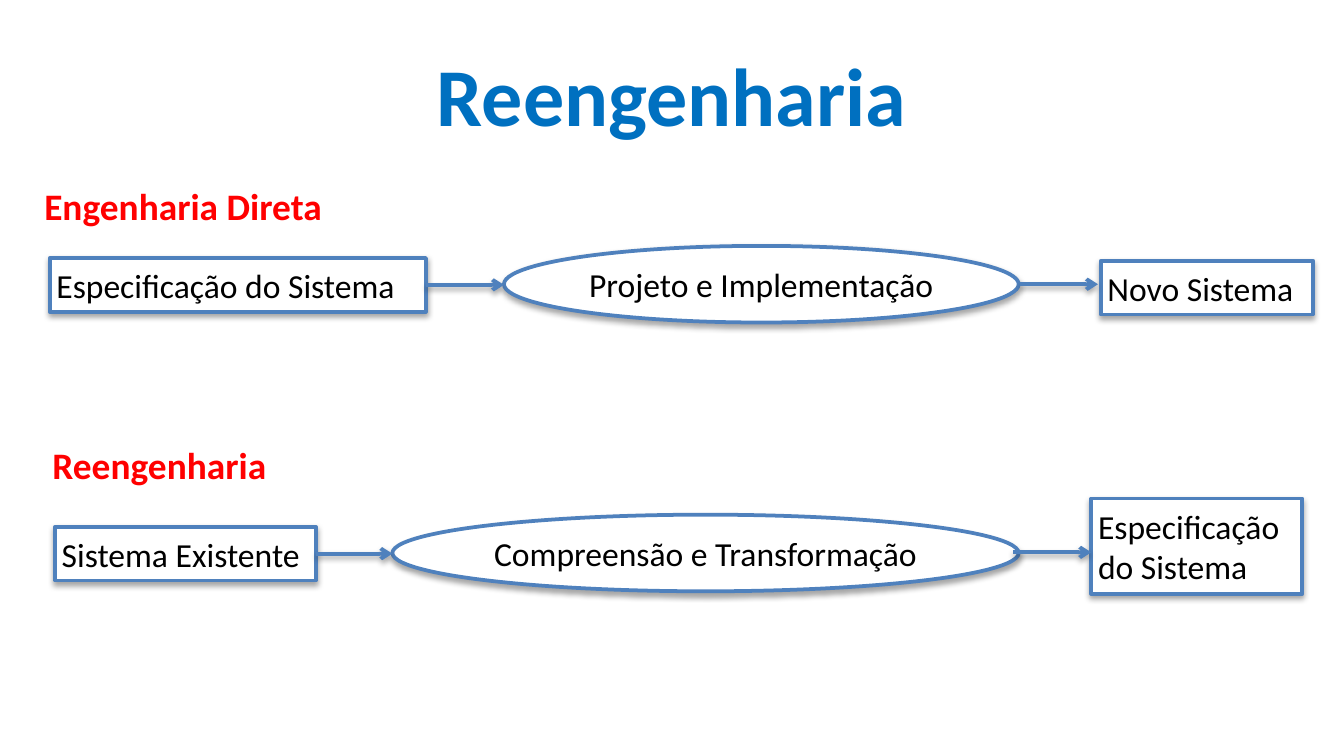
import pptx
import pptx.util
import pptx.dml.color
import pptx.enum.shapes
import pptx.enum.text
import pptx.oxml
import pptx.oxml.ns

RGB = pptx.dml.color.RGBColor
TITLE = RGB(0x00, 0x70, 0xC0)
HEAD = RGB(0xFF, 0x00, 0x00)
EDGE = RGB(0x4F, 0x81, 0xBD)
WHITE = RGB(0xFF, 0xFF, 0xFF)
BLACK = RGB(0x00, 0x00, 0x00)
KIND = pptx.enum.shapes.MSO_SHAPE
ALIGN = pptx.enum.text.PP_ALIGN
SHADE = (
    '<a:effectLst %s><a:outerShdw blurRad="38100" dist="22860" dir="5400000" rotWithShape="0">'
    '<a:srgbClr val="000000"><a:alpha val="35000"/></a:srgbClr></a:outerShdw></a:effectLst>'
    % pptx.oxml.ns.nsdecls("a")
)

deck = pptx.Presentation()
deck.slide_width = pptx.util.Inches(10)
deck.slide_height = deck.slide_width * 9 // 16
col = deck.slide_width / 100
row = deck.slide_height / 56.25
slide = deck.slides.add_slide(deck.slide_layouts[6])


def write(text, shape, size=18, color=BLACK, bold=False, align=ALIGN.LEFT):
    frame = shape.text_frame
    frame.word_wrap = True
    frame.vertical_anchor = pptx.enum.text.MSO_ANCHOR.MIDDLE
    frame.margin_left = frame.margin_right = pptx.util.Inches(0.05)
    frame.margin_top = frame.margin_bottom = pptx.util.Inches(0.05)
    para = frame.paragraphs[0]
    para.alignment = align
    run = para.add_run()
    run.text = text
    run.font.name = "Calibri"
    run.font.size = pptx.util.Pt(size)
    run.font.bold = bold
    run.font.color.rgb = color


def style(item):
    item.line.color.rgb = EDGE
    item.line.width = pptx.util.Pt(2)
    props = item._element.spPr
    for old in props.findall(pptx.oxml.ns.qn("a:effectLst")):
        props.remove(old)
    props.append(pptx.oxml.parse_xml(SHADE))


heads = [
    ("Reengenharia", 5, 2.3, 90, 9.4, 44, TITLE, ALIGN.CENTER),
    ("Engenharia Direta", 2.8, 13.3, 40, 4, 20, HEAD, ALIGN.LEFT),
    ("Reengenharia", 3.4, 32.6, 40, 4, 20, HEAD, ALIGN.LEFT),
]
for text, x, y, w, h, size, color, align in heads:
    box = slide.shapes.add_textbox(int(x * col), int(y * row), int(w * col), int(h * row))
    write(text, box, size=size, color=color, bold=True, align=align)

flows = [
    (21.15, 75.9, 81.7, [
        ("Especificação do Sistema", KIND.RECTANGLE, 3.7, 19.2, 28, 4),
        ("Projeto e Implementação", KIND.OVAL, 37.5, 18.3, 38.3, 5.7),
        ("Novo Sistema", KIND.RECTANGLE, 81.9, 19.4, 15.8, 4),
    ]),
    (41.1, 75.4, 81.2, [
        ("Sistema Existente", KIND.RECTANGLE, 4.1, 39.2, 19.4, 4),
        ("Compreensão e Transformação", KIND.OVAL, 29.2, 38.3, 46.6, 5.7),
        ("Especificação do Sistema", KIND.RECTANGLE, 81.2, 37.1, 15.7, 7.1),
    ]),
]
for mid, start, end, steps in flows:
    nodes = []
    for text, kind, x, y, w, h in steps:
        node = slide.shapes.add_shape(kind, int(x * col), int(y * row), int(w * col), int(h * row))
        node.fill.solid()
        node.fill.fore_color.rgb = WHITE
        style(node)
        align = ALIGN.CENTER if kind == KIND.OVAL else ALIGN.LEFT
        write(text, node, align=align)
        nodes.append(node)
    first, oval, last = nodes
    level = first.top + first.height // 2
    spans = [
        (first.left + first.width, oval.left, level),
        (int(start * col), int(end * col), int(mid * row)),
    ]
    links = []
    for left, right, y in spans:
        link = slide.shapes.add_connector(pptx.enum.shapes.MSO_CONNECTOR.STRAIGHT, left, y, right, y)
        style(link)
        tip = pptx.oxml.parse_xml('<a:tailEnd %s type="arrow"/>' % pptx.oxml.ns.nsdecls("a"))
        link.line._get_or_add_ln().append(tip)
        links.append(link)
    links[0].begin_connect(first, 3)

deck.save("out.pptx")
